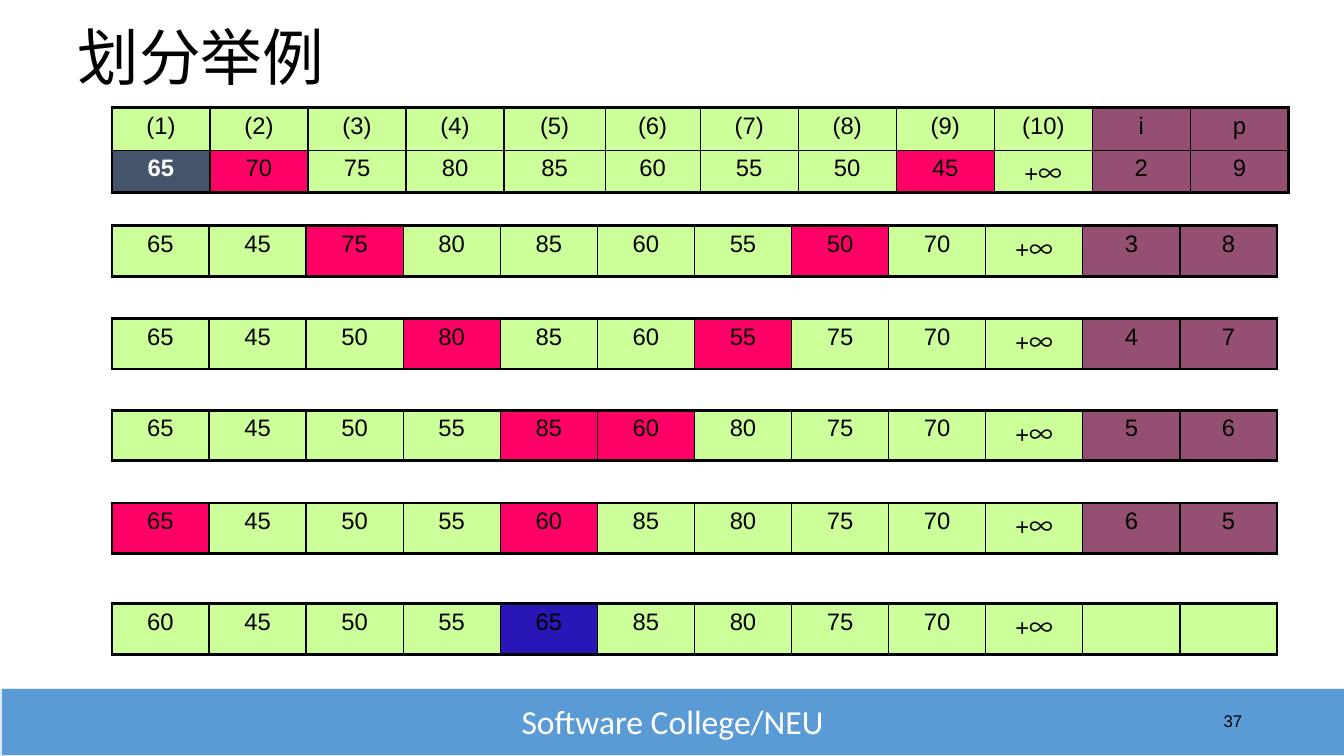
from lxml import etree
from pptx import Presentation
from pptx import util as u
from pptx.dml.color import RGBColor
from pptx.enum import shapes, text
from pptx.oxml.ns import qn

COLORS = {
    "black": "000000", "white": "FFFFFF", "footer": "5B9BD5", "footer_line": "DEEBF7",
    "value": "CCFF99", "pointer": "954F72", "swap": "FF0066", "pivot": "44546A",
    "placed": "2916B6",
}
COLUMNS = 12
TABLE_LEFT = 1.11
POINTER_COLUMNS = (10, 11)
THIN, THICK = 1, 2.25


def write(paragraph, content, alignment, **font_values):
    run = paragraph.add_run()
    run.text = content
    paragraph.alignment = alignment
    run.font.color.rgb = RGBColor.from_string(COLORS[font_values.pop("color", "black")])
    for name, value in font_values.items():
        setattr(run.font, name, value)


def add_borders(cell, widths):
    properties = cell._tc.get_or_add_tcPr()
    for side, width in widths.items():
        line = etree.SubElement(properties, qn(f"a:{side}"), w=str(u.Pt(width)))
        fill = etree.SubElement(line, qn("a:solidFill"))
        etree.SubElement(fill, qn("a:srgbClr"), val=COLORS["black"])


presentation = Presentation()
presentation.slide_width = u.Inches(13.33)
presentation.slide_height = u.Inches(7.5)
slide = presentation.slides.add_slide(presentation.slide_layouts[5])

# Footer
band = slide.shapes.add_shape(shapes.MSO_SHAPE.RECTANGLE, u.Inches(0.01), u.Inches(6.83),
                              u.Inches(13.33), u.Inches(0.67))
band.shadow.inherit = False
band.fill.solid()
band.fill.fore_color.rgb = RGBColor.from_string(COLORS["footer"])
band.line.color.rgb = RGBColor.from_string(COLORS["footer_line"])
band.line.width = u.Pt(1)

footers = [
    (4.42, 4.5, "Software College/NEU", text.PP_ALIGN.CENTER,
     {"size": u.Pt(24), "name": "Calibri", "color": "white"}),
    (9.42, 3, "37", text.PP_ALIGN.RIGHT, {"size": u.Pt(12), "name": "Arial"}),
]
for left, width, content, alignment, font_values in footers:
    box = slide.shapes.add_textbox(u.Inches(left), u.Inches(6.95), u.Inches(width), u.Inches(0.4))
    box.text_frame.word_wrap = True
    box.text_frame.vertical_anchor = text.MSO_ANCHOR.MIDDLE
    write(box.text_frame.paragraphs[0], content, alignment, **font_values)

# Title
title = slide.shapes.title
title.left, title.top = u.Inches(0.67), u.Inches(0.13)
title.width, title.height = u.Inches(11), u.Inches(0.94)
title.text_frame.vertical_anchor = text.MSO_ANCHOR.MIDDLE
title_paragraph = title.text_frame.paragraphs[0]
title_paragraph.line_spacing = 0.9
write(title_paragraph, "划分举例", text.PP_ALIGN.LEFT, size=u.Pt(44), name="Calibri")

# Partition steps: top, width, row height, rows, highlighted columns of the last row
header = [f"({number})" for number in range(1, 11)] + ["i", "p"]
steps = [
    (1.07, 11.67, 0.42, [header, "65 70 75 80 85 60 55 50 45 +∞ 2 9".split()],
     {0: "pivot", 1: "swap", 8: "swap"}),
    (2.24, 11.56, 0.5, ["65 45 75 80 85 60 55 50 70 +∞ 3 8".split()], {2: "swap", 7: "swap"}),
    (3.16, 11.56, 0.5, ["65 45 50 80 85 60 55 75 70 +∞ 4 7".split()], {3: "swap", 6: "swap"}),
    (4.07, 11.56, 0.5, ["65 45 50 55 85 60 80 75 70 +∞ 5 6".split()], {4: "swap", 5: "swap"}),
    (4.99, 11.56, 0.5, ["65 45 50 55 60 85 80 75 70 +∞ 6 5".split()], {0: "swap", 4: "swap"}),
    (5.99, 11.56, 0.5, ["60 45 50 55 65 85 80 75 70 +∞".split() + ["", ""]],
     {4: "placed", 10: "value", 11: "value"}),
]
for top, width, row_height, rows, highlights in steps:
    frame = slide.shapes.add_table(len(rows), COLUMNS, u.Inches(TABLE_LEFT), u.Inches(top),
                                   u.Inches(width), u.Inches(row_height * len(rows)))
    table = frame.table
    for column in table.columns:
        column.width = u.Inches(width / COLUMNS)
    if len(rows) > 1:
        table.columns[4].width += u.Inches(0.03)
        table.columns[5].width -= u.Inches(0.03)
    last_row = len(rows) - 1
    for row_index, values in enumerate(rows):
        table.rows[row_index].height = u.Inches(row_height)
        for column_index, value in enumerate(values):
            cell = table.cell(row_index, column_index)
            cell.margin_left = cell.margin_right = u.Inches(0.13)
            cell.margin_top = cell.margin_bottom = u.Inches(0.05)
            add_borders(cell, {
                "lnL": THICK if column_index == 0 else THIN,
                "lnR": THICK if column_index == COLUMNS - 1 else THIN,
                "lnT": THICK if row_index == 0 else THIN,
                "lnB": THICK if row_index == last_row else THIN,
            })
            color = "pointer" if column_index in POINTER_COLUMNS else "value"
            if row_index == last_row:
                color = highlights.get(column_index, color)
            cell.fill.solid()
            cell.fill.fore_color.rgb = RGBColor.from_string(COLORS[color])
            is_pivot = color == "pivot"
            for part in ["+", "∞"] if value == "+∞" else [value] if value else []:
                write(cell.text_frame.paragraphs[0], part, text.PP_ALIGN.CENTER,
                      size=u.Pt(17), name="Noto Sans CJK SC" if part == "∞" else "Arial",
                      bold=is_pivot, color="white" if is_pivot else "black")

presentation.save("out.pptx")
